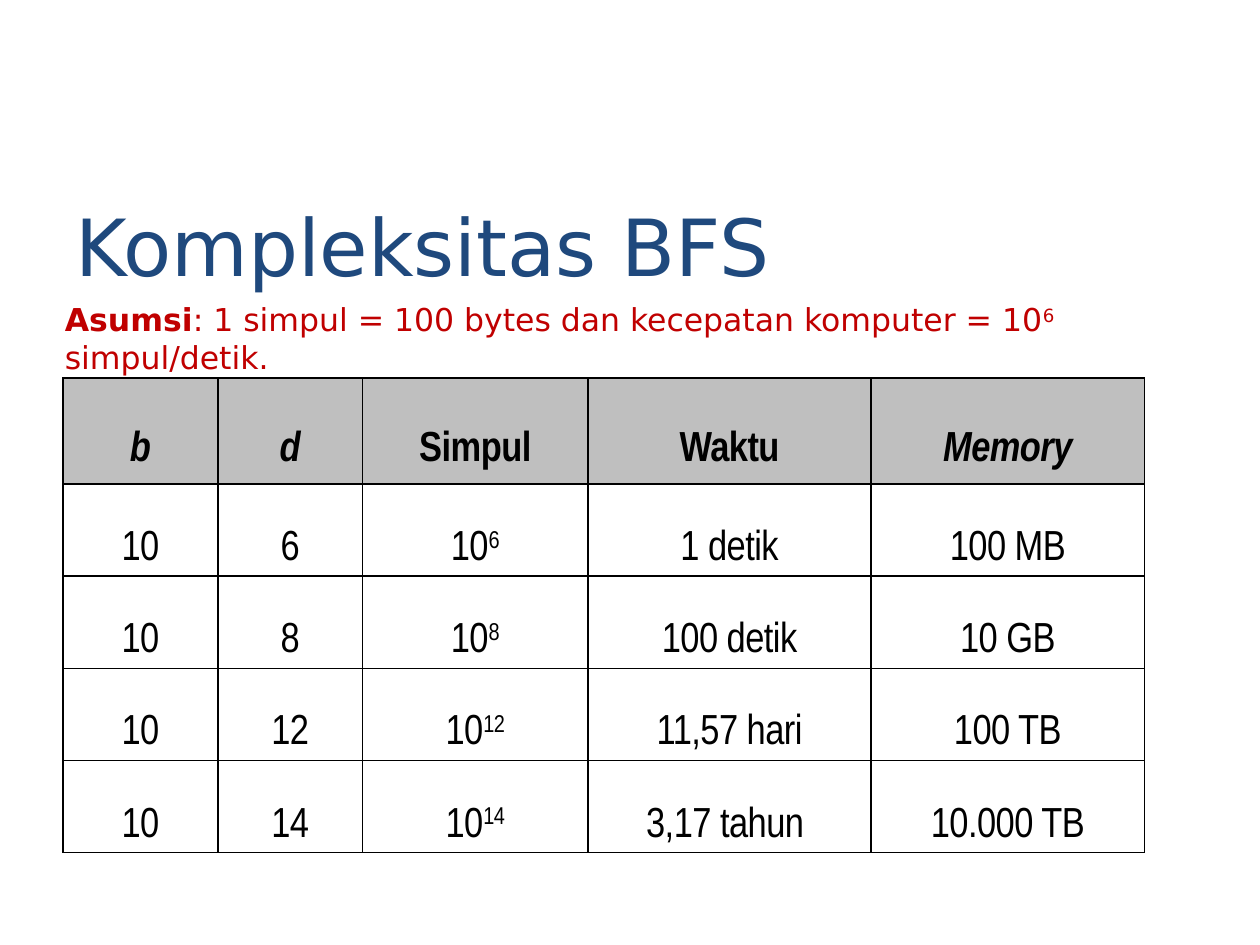
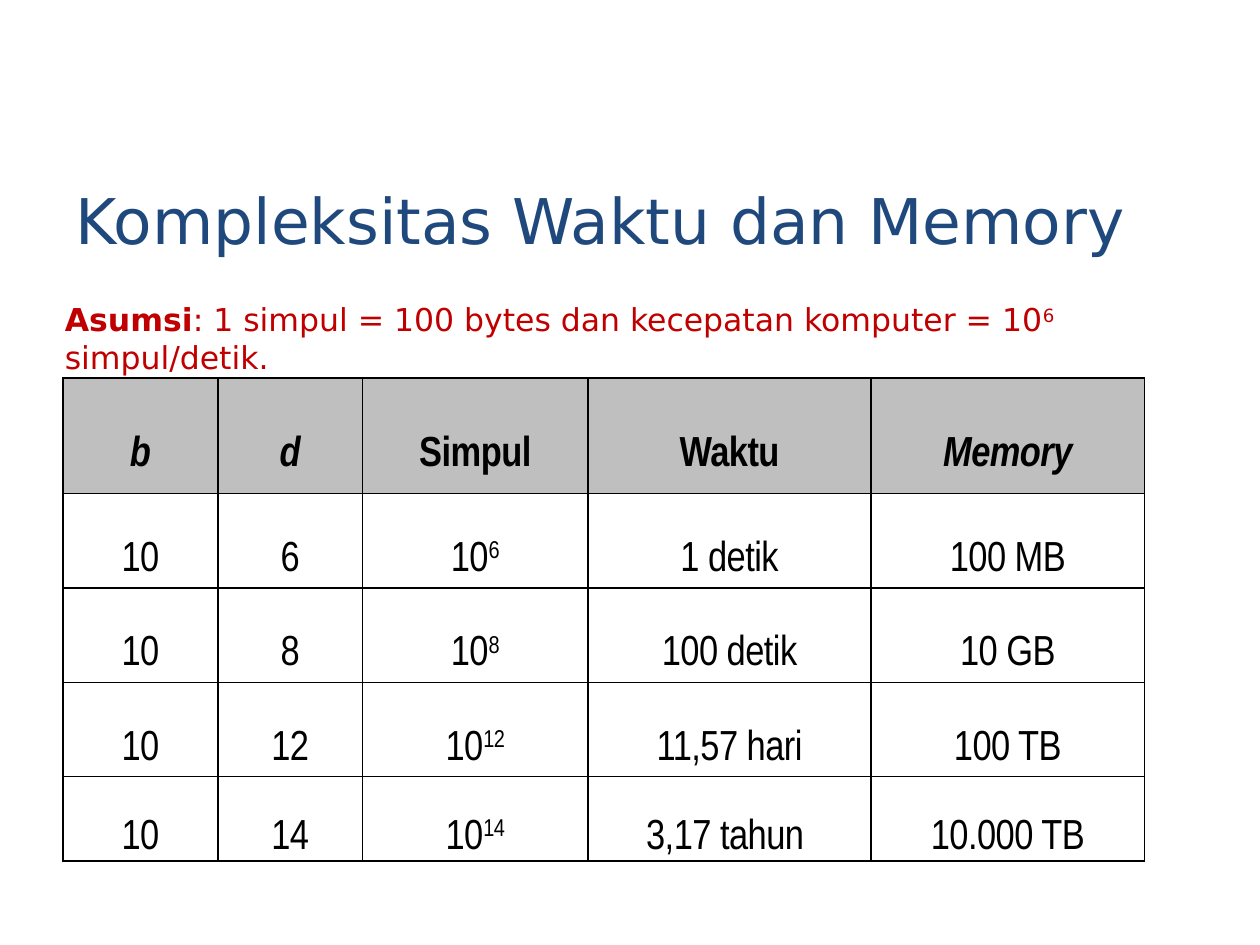
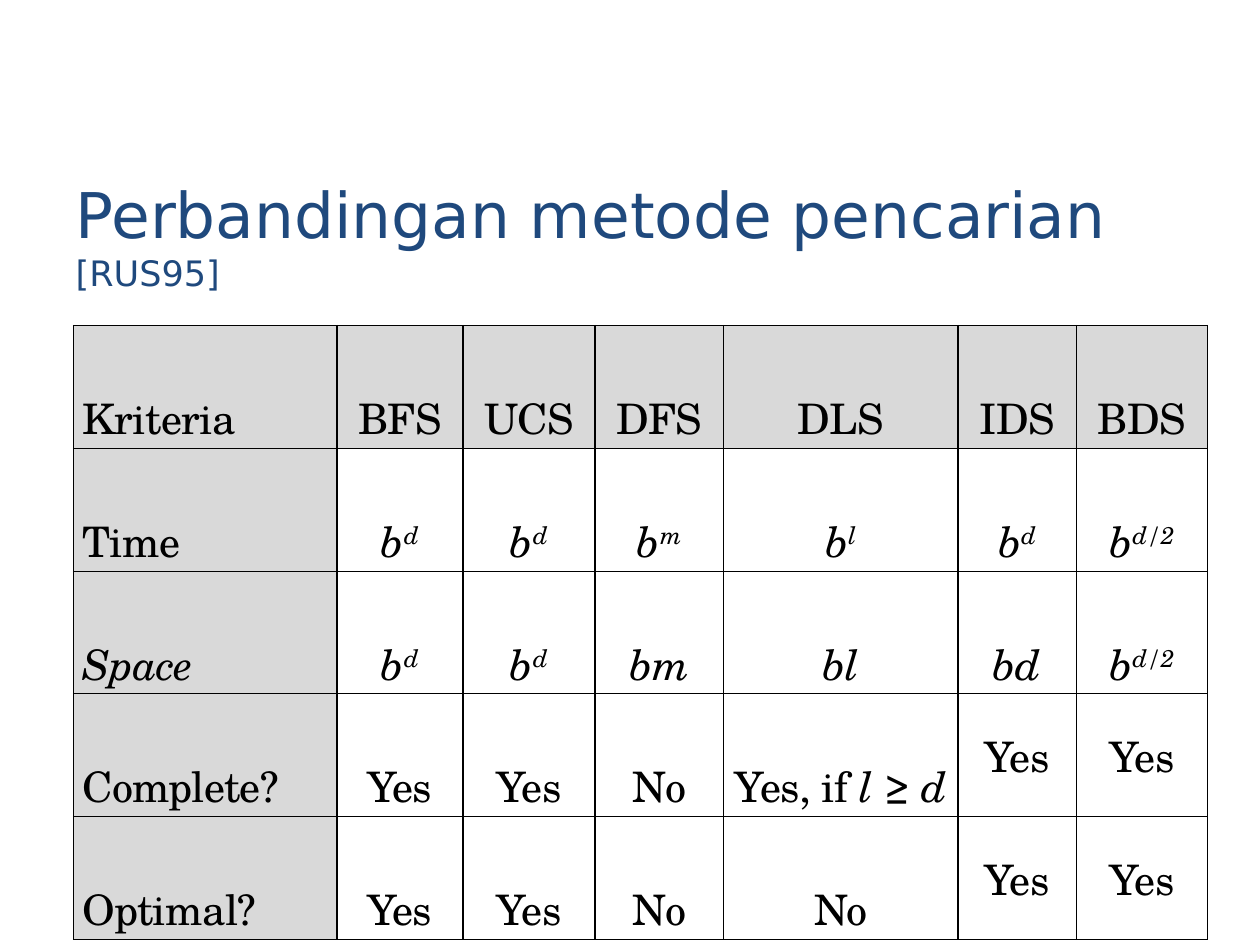
from collections import namedtuple

from lxml.etree import SubElement
from pptx import Presentation
from pptx.dml.color import RGBColor
from pptx.enum.text import MSO_ANCHOR as Anchor, MSO_AUTO_SIZE as AutoSize, PP_ALIGN as Align
from pptx.oxml.ns import qn
from pptx.util import Inches, Pt

COLORS = {
    "title": "1F497D",
    "note": "C00000",
    "text": "000000",
    "border": "000000",
    "dark_header": "BFBFBF",
    "light_header": "D9D9D9",
}
SANS, NARROW, SERIF = "DejaVu Sans", "Arial Narrow", "TeX Gyre Schola"
TITLE_ONLY = 5
GRID_COLUMNS, GRID_ROWS = 120, 90
WIDTH, HEIGHT = Inches(10), Inches(7.5)

Box = namedtuple("Box", "column row columns rows")

NOTE = "*Asumsi|: 1 simpul = 100 bytes dan kecepatan komputer = 10|^6 |simpul/detik."
NOTE_BOX = Box(5, 28, 109, 4.8)
COMPLEXITY_WIDTHS = [1.23, 1.15, 1.79, 2.25, 2.17]
COMPLEXITY = [
    ["*_b", "*_d", "*Simpul", "*Waktu", "*_Memory"],
    ["10", "6", "10|^6", "1 detik", "100 MB"],
    ["10", "8", "10|^8", "100 detik", "10 GB"],
    ["10", "12", "10|^12", "11,57 hari", "100 TB"],
    ["10", "14", "10|^14", "3,17 tahun ", "10.000 TB"],
]
METHOD_WIDTHS = [2.09, 1, 1.05, 1.02, 1.86, 0.94, 1.04]
METHODS = [
    ["Kriteria", "BFS", "UCS", "DFS", "DLS", "IDS", "BDS"],
    ["Time", "_b|^_d", "_b|^_d", "_b|^_m", "_b|^_l", "_b|^_d", "_b|^_d/2"],
    ["_Space", "_b|^_d", "_b|^_d", "_bm", "_bl", "_bd", "_b|^_d/2"],
    ["Complete?", "Yes", "Yes", "No", "Yes, if |_l |≥ |_d", "Yes", "Yes"],
    ["Optimal?", "Yes", "Yes", "No", "No", "Yes", "Yes"],
]


def to_lengths(box):
    """Turn a box of grid units into left, top, width and height."""
    column, row = WIDTH / GRID_COLUMNS, HEIGHT / GRID_ROWS
    return [round(size) for size in (box.column * column, box.row * row,
                                     box.columns * column, box.rows * row)]


def set_font(font, name, size, color):
    """Set the face, size and colour of a font."""
    font.name = name
    font.size = Pt(size)
    font.color.rgb = RGBColor.from_string(COLORS[color])


def add_runs(paragraph, markup):
    """Add runs split at |, led by * for bold, _ for italic, ^ for superscript."""
    for piece in markup.split("|"):
        text = piece.lstrip("*_^")
        marks = piece[:len(piece) - len(text)]
        run = paragraph.add_run()
        run.text = text
        if "*" in marks:
            run.font.bold = True
        if "_" in marks:
            run.font.italic = True
        if "^" in marks:
            run.font._element.set("baseline", "30000")


def add_title(slide, box, text, size, source=None):
    """Move and format the title, with an optional small source reference."""
    title = slide.shapes.title
    title.left, title.top, title.width, title.height = to_lengths(box)
    frame = title.text_frame
    frame.auto_size = AutoSize.NONE
    frame.vertical_anchor = Anchor.MIDDLE
    paragraph = frame.paragraphs[0]
    paragraph.alignment = Align.LEFT
    set_font(paragraph.font, SANS, size, "title")
    add_runs(paragraph, text)
    if source:
        run = paragraph.add_run()
        run.text = source
        run.font.size = Pt(20)


def add_note(slide, box):
    """Add the assumption above the table."""
    frame = slide.shapes.add_textbox(*to_lengths(box)).text_frame
    frame.word_wrap = True
    frame.auto_size = AutoSize.SHAPE_TO_FIT_TEXT
    paragraph = frame.paragraphs[0]
    set_font(paragraph.font, SANS, 18, "note")
    add_runs(paragraph, NOTE)


def add_borders(cell):
    """Draw a thin line on the four sides of a cell."""
    properties = cell._tc.get_or_add_tcPr()
    for side in ("a:lnL", "a:lnR", "a:lnT", "a:lnB"):
        line = SubElement(properties, qn(side), w=str(Pt(1)))
        fill = SubElement(line, qn("a:solidFill"))
        SubElement(fill, qn("a:srgbClr"), val=COLORS["border"])


def fill_cell(cell, markup, font_name, alignment, spacing, header):
    """Write and format one cell; header is a colour name or None."""
    add_borders(cell)
    if header:
        cell.fill.solid()
        cell.fill.fore_color.rgb = RGBColor.from_string(COLORS[header])
    else:
        cell.fill.background()
    cell.vertical_anchor = Anchor.MIDDLE
    cell.margin_left = cell.margin_right = Inches(0.07)
    cell.margin_top = cell.margin_bottom = 0
    paragraph = cell.text_frame.paragraphs[0]
    paragraph.alignment = alignment
    paragraph.line_spacing = spacing
    paragraph.space_before, paragraph.space_after = Pt(3), Pt(6)
    set_font(paragraph.font, font_name, 24, "text")
    paragraph.font._element.set("spc", "-30")
    add_runs(paragraph, markup)


def add_grid_table(slide, box, rows, widths, heights):
    """Add a plain table whose columns and rows share the box by weight."""
    left, top, width, height = to_lengths(box)
    table = slide.shapes.add_table(len(rows), len(widths), left, top, width, height).table
    table.first_row = table.horz_banding = False
    for column, weight in zip(table.columns, widths):
        column.width = round(width * weight / sum(widths))
    for row, weight in zip(table.rows, heights):
        row.height = round(height * weight / sum(heights))
    return table


def add_complexity_table(slide, box, heights):
    """Add the table of nodes, time and memory."""
    table = add_grid_table(slide, box, COMPLEXITY, COMPLEXITY_WIDTHS, heights)
    for i, row in enumerate(COMPLEXITY):
        for j, markup in enumerate(row):
            header = "dark_header" if i == 0 else None
            fill_cell(table.cell(i, j), markup, NARROW, Align.CENTER, 2.0, header)


def add_method_table(slide, box):
    """Add the comparison of search methods."""
    table = add_grid_table(slide, box, METHODS, METHOD_WIDTHS, [1] * len(METHODS))
    for i, row in enumerate(METHODS):
        for j, markup in enumerate(row):
            header = "light_header" if i == 0 or j == 0 else None
            alignment = Align.JUSTIFY if j == 0 else Align.CENTER
            spacing = 1.0 if i >= 3 and j >= 5 else 2.0
            fill_cell(table.cell(i, j), markup, SERIF, alignment, spacing, header)


def add_complexity_slide(presentation, title, title_box, title_size, table_box, heights):
    """Add a slide with a title, the assumption and the complexity table."""
    slide = presentation.slides.add_slide(presentation.slide_layouts[TITLE_ONLY])
    add_title(slide, title_box, title, title_size)
    add_complexity_table(slide, table_box, heights)
    add_note(slide, NOTE_BOX)


def add_method_slide(presentation):
    """Add the slide that compares the search methods."""
    slide = presentation.slides.add_slide(presentation.slide_layouts[TITLE_ONLY])
    add_title(slide, Box(6, 16.9, 109, 10.9), "Perbandingan metode pencarian ", 36, "[RUS95]")
    add_method_table(slide, Box(7, 31, 108, 53))


def main():
    """Build and save the presentation."""
    presentation = Presentation()
    presentation.slide_width, presentation.slide_height = WIDTH, HEIGHT
    add_complexity_slide(presentation, "Kompleksitas BFS", Box(6, 18.8, 109, 9.1), 45,
                         Box(6, 36, 103, 45.2), [0.84, 0.73, 0.73, 0.73, 0.73])
    add_complexity_slide(presentation, "Kompleksitas Waktu dan Memory",
                         Box(6, 17.6, 109, 6.6), 36,
                         Box(6, 36, 103, 46), [0.92, 0.75, 0.75, 0.75, 0.67])
    add_method_slide(presentation)
    presentation.save("out.pptx")


if __name__ == "__main__":
    main()
